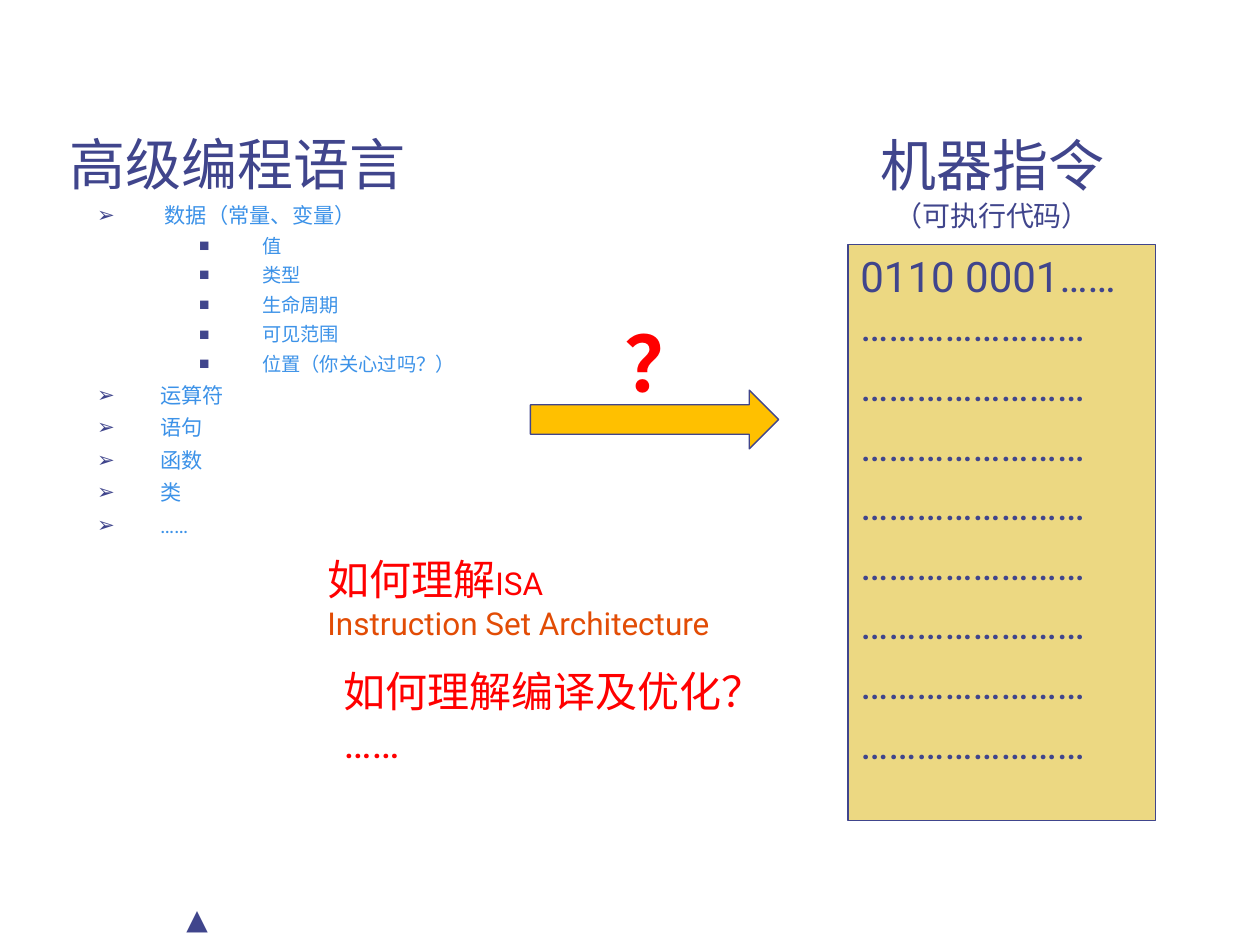
from dataclasses import dataclass

from lxml.etree import SubElement
from pptx import Presentation
from pptx.dml.color import RGBColor
from pptx.enum.shapes import MSO_SHAPE as Preset
from pptx.enum.text import MSO_ANCHOR as Anchor, MSO_AUTO_SIZE as AutoSize, PP_ALIGN as Align
from pptx.oxml.ns import qn
from pptx.util import Inches, Pt


@dataclass(frozen=True)
class Theme:
    font: str = "Roboto"
    ink: str = "40458C"
    item: str = "3C92E8"
    alert: str = "FF0000"
    accent: str = "E24C05"
    memory: str = "ECD882"
    arrow: str = "FFC000"
    heading: float = 32
    question_mark: float = 44
    body: float = 24
    term: float = 18
    caption: float = 16
    list_sizes: tuple = (12.1, 11)
    outline: float = 0.75


@dataclass(frozen=True)
class Box:
    left: float
    top: float
    width: float
    height: float

    def share(self, left, top, width, height):
        return Box(self.left + left * self.width, self.top + top * self.height,
                   width * self.width, height * self.height)

    def lengths(self):
        return [Inches(value) for value in (self.left, self.top, self.width, self.height)]


THEME = Theme()
PAGE = Box(0, 0, 10, 7.5)
BULLETS = (("➢", 0.5, 100, 5.5), ("■", 1.31, 90, 5))
HANGING = 0.5
ITEMS = (
    (" 数据（常量、变量）", 0),
    ("值", 1),
    ("类型", 1),
    ("生命周期", 1),
    ("可见范围", 1),
    ("位置（你关心过吗？）", 1),
    ("运算符", 0),
    ("语句", 0),
    ("函数", 0),
    ("类", 0),
    ("……", 0),
)


def style(run, size, color, bold=False):
    font = run.font
    font.name, font.size, font.bold = THEME.font, Pt(size), bold
    font.color.rgb = RGBColor.from_string(color)


def place(shape, box):
    shape.left, shape.top, shape.width, shape.height = box.lengths()


def add_text(slide, box, lines, align=Align.LEFT, wrap=True):
    text_frame = slide.shapes.add_textbox(*box.lengths()).text_frame
    text_frame.word_wrap = wrap
    for index, runs in enumerate(lines):
        paragraph = text_frame.add_paragraph() if index else text_frame.paragraphs[0]
        paragraph.alignment = align
        for text, *look in runs:
            run = paragraph.add_run()
            run.text = text
            style(run, *look)


def add_block(slide, preset, box, fill):
    shape = slide.shapes.add_shape(preset, *box.lengths())
    shape.shadow.inherit = False
    shape.fill.solid()
    shape.fill.fore_color.rgb = RGBColor.from_string(fill)
    shape.line.color.rgb = RGBColor.from_string(THEME.ink)
    shape.line.width = Pt(THEME.outline)


def set_bullet(paragraph, character, indent, percent):
    properties = paragraph._p.get_or_add_pPr()
    properties.set("marL", str(Inches(indent)))
    properties.set("indent", str(-Inches(HANGING)))
    color = SubElement(properties, qn("a:buClr"))
    SubElement(color, qn("a:srgbClr"), val=THEME.ink)
    SubElement(properties, qn("a:buSzPct"), val=str(percent * 1000))
    SubElement(properties, qn("a:buChar"), char=character)


def language_title(slide, box):
    title = slide.shapes.title
    place(title, box)
    text_frame = title.text_frame
    text_frame.text = "高级编程语言"
    text_frame.word_wrap = False
    text_frame.vertical_anchor = Anchor.TOP
    text_frame.auto_size = AutoSize.NONE
    paragraph = text_frame.paragraphs[0]
    paragraph.alignment = Align.LEFT
    style(paragraph.runs[0], THEME.heading, THEME.ink)


def language_list(slide, box):
    body = slide.placeholders[1]
    place(body, box)
    text_frame = body.text_frame
    text_frame.text = "\n".join(text for text, level in ITEMS)
    text_frame.auto_size = AutoSize.NONE
    for index, (paragraph, (text, level)) in enumerate(zip(text_frame.paragraphs, ITEMS)):
        character, indent, percent, space = BULLETS[level]
        paragraph.level = level
        set_bullet(paragraph, character, indent, percent)
        paragraph.line_spacing = 0.9
        paragraph.space_before = Pt(space if index else 0)
        style(paragraph.runs[0], THEME.list_sizes[level], THEME.item)


def machine_code(slide, box, dotted_rows=8):
    add_block(slide, Preset.RECTANGLE, box, THEME.memory)
    row = 0.11
    first, last = 0.085, 0.81
    pitch = (last - first) / (dotted_rows - 1)
    tops = [0] + [first + index * pitch for index in range(dotted_rows)]
    for index, top in enumerate(tops):
        text = "……………………" if index else "0110 0001……"
        add_text(slide, box.share(0, top, 1, row), [[(text, THEME.body, THEME.ink)]])


def machine_heading(slide, box):
    add_text(slide, box, [
        [("机器指令", THEME.heading, THEME.ink)],
        [("（可执行代码）", THEME.caption, THEME.ink)],
    ], align=Align.CENTER)


def translation_arrow(slide, box):
    add_block(slide, Preset.RIGHT_ARROW, box.share(0, 0.58, 1, 0.42), THEME.arrow)
    add_text(slide, box.share(0.33, 0, 0.41, 0.76),
             [[("？", THEME.question_mark, THEME.alert, True)]], wrap=False)


def questions(slide, box):
    add_text(slide, box.share(0, 0, 0.94, 0.45), [
        [("如何理解", THEME.body, THEME.alert), ("ISA", THEME.term, THEME.alert)],
        [("Instruction Set Architecture", THEME.term, THEME.accent)],
    ], wrap=False)
    add_text(slide, box.share(0.035, 0.5, 0.965, 0.5), [
        [("如何理解编译及优化？", THEME.body, THEME.alert)],
        [("……", THEME.body, THEME.alert)],
    ], wrap=False)


def footer_mark(slide, box):
    add_text(slide, box, [[("▲", THEME.caption, THEME.ink)]])


def main():
    presentation = Presentation()
    presentation.slide_width, presentation.slide_height = Inches(PAGE.width), Inches(PAGE.height)
    slide = presentation.slides.add_slide(presentation.slide_layouts[1])
    footer_mark(slide, PAGE.share(0.138, 0.947, 0.142, 0.05))
    language_list(slide, PAGE.share(0.067, 0.21, 0.835, 0.38))
    language_title(slide, PAGE.share(0.045, 0.13, 0.287, 0.085))
    machine_heading(slide, PAGE.share(0.618, 0.132, 0.339, 0.12))
    machine_code(slide, PAGE.share(0.673, 0.259, 0.244, 0.609))
    translation_arrow(slide, PAGE.share(0.421, 0.327, 0.197, 0.148))
    questions(slide, PAGE.share(0.25, 0.579, 0.366, 0.238))
    presentation.save("out.pptx")


if __name__ == "__main__":
    main()
